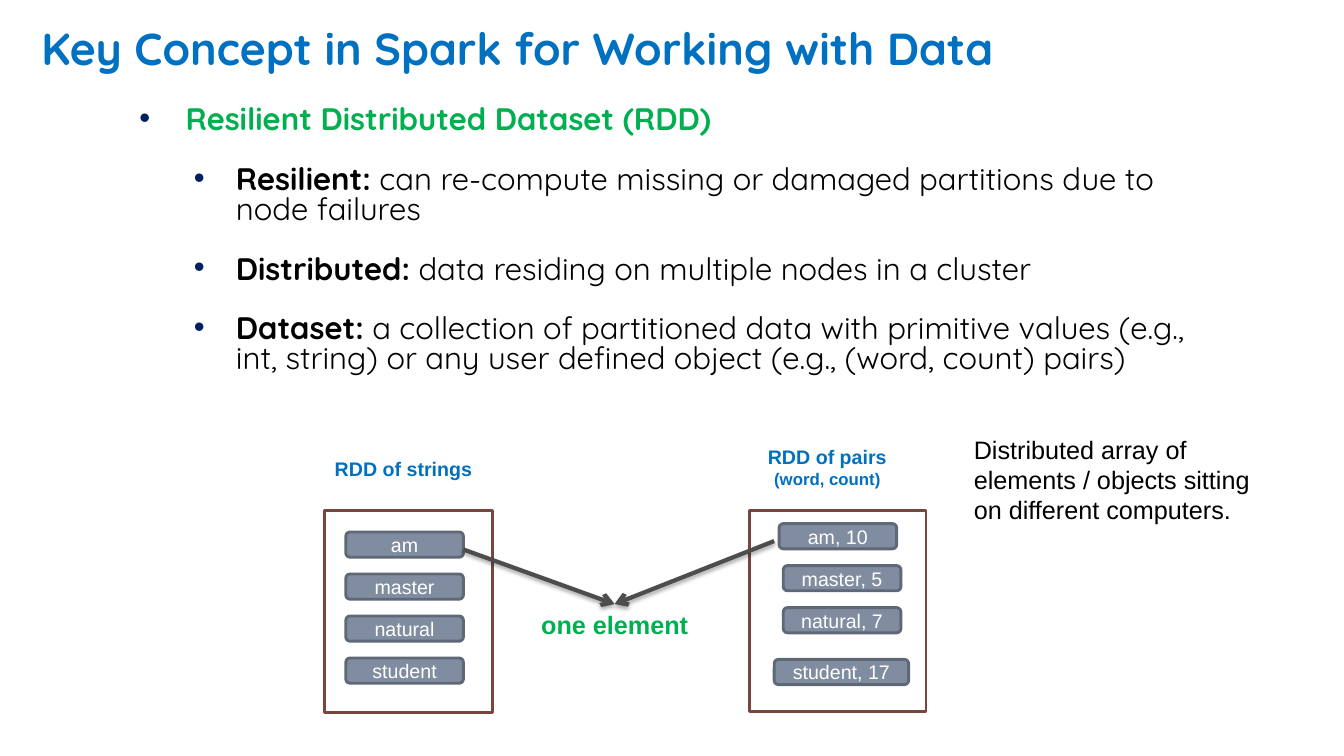
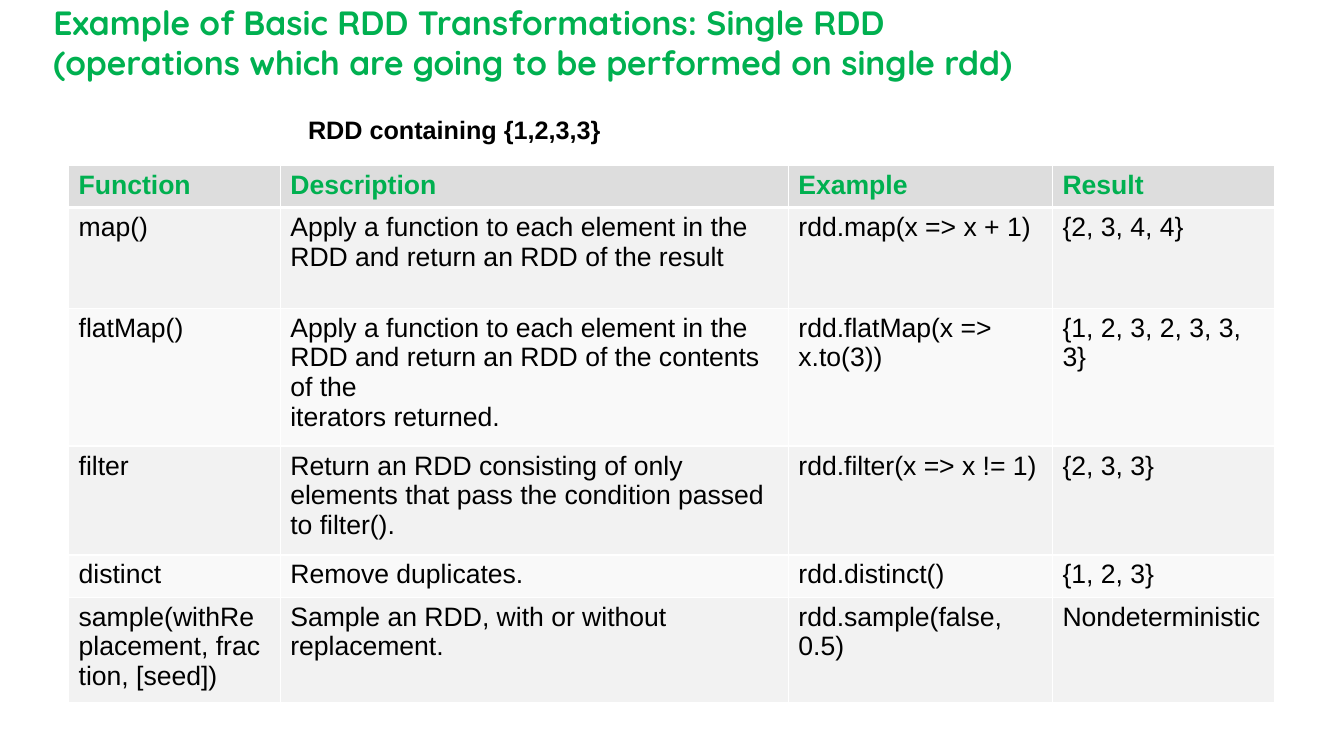
import lxml.etree
import pptx
import pptx.dml.color
import pptx.enum.shapes
import pptx.enum.text
import pptx.oxml.ns
import pptx.util

Pt = pptx.util.Pt
ALIGN = pptx.enum.text.PP_ALIGN
ANCHOR = pptx.enum.text.MSO_ANCHOR
SHAPE = pptx.enum.shapes.MSO_SHAPE
BLUE, GREEN, BLACK, WHITE = "0070C0", "00B050", "000000", "FFFFFF"
NAVY, BROWN, GRAY = "002060", "79463D", "4D4D4D"
CHIP_FILL, CHIP_LINE = "808DA0", "5F6876"
HEADER_FILL, ROW_FILLS = "DDDDDD", ("F2F2F2", "F9F9F9")
HEADING_FONT, TEXT_FONT = "Quicksand", "Arial"

TERMS = [
    ("Resilient:", "can re-compute missing or damaged partitions due to node failures"),
    ("Distributed:", "data residing on multiple nodes in a cluster"),
    ("Dataset:", "a collection of partitioned data with primitive values (e.g., int, string) "
                 "or any user defined object (e.g., (word, count) pairs)"),
]
STRINGS = ["am", "master", "natural", "student"]
PAIRS = [
    ("am, 10", 556.5, 374, 84),
    ("master, 5", 559.5, 404, 84),
    ("natural, 7", 559.5, 434, 84),
    ("student, 17", 553, 471, 96),
]
COLUMN_WIDTHS = [151.2, 363, 188.6, 158.6]
ROW_HEIGHTS = [30.2, 72, 96.5, 77.8, 30.2, 74.2]
TRANSFORMATIONS = [
    ("Function", "Description", "Example", "Result"),
    ("map()", "Apply a function to each element in the RDD and return an RDD of the result",
     "rdd.map(x => x + 1)", "{2, 3, 4, 4}"),
    ("flatMap()", "Apply a function to each element in the RDD and return an RDD of the contents "
     "of the\niterators returned.", "rdd.flatMap(x => x.to(3))", "{1, 2, 3, 2, 3, 3, 3}"),
    ("filter", "Return an RDD consisting of only elements that pass the condition passed to filter().",
     "rdd.filter(x => x != 1)", "{2, 3, 3}"),
    ("distinct", "Remove duplicates.", "rdd.distinct()", "{1, 2, 3}"),
    ("sample(withRe\nplacement, frac\ntion, [seed])", "Sample an RDD, with or without replacement.",
     "rdd.sample(false, 0.5)", "Nondeterministic"),
]


def rgb(color):
    return pptx.dml.color.RGBColor.from_string(color)


def points(*lengths):
    return [Pt(length) for length in lengths]


def add_xml(parent, tag, **values):
    element = lxml.etree.SubElement(parent, pptx.oxml.ns.qn("a:" + tag))
    for name, value in values.items():
        element.set(name, str(value))
    return element


def set_values(target, values):
    for name, value in values.items():
        setattr(target, name, value)


class SlideStyle:
    def __init__(self):
        self.deck = pptx.Presentation()
        set_values(self.deck, {"slide_width": Pt(960), "slide_height": Pt(540)})
        self.page = None

    def new_page(self):
        self.page = self.deck.slides.add_slide(self.deck.slide_layouts[6])

    def add_span(self, para, text, size, color=BLACK, bold=False, font=TEXT_FONT):
        span = para.add_run()
        span.text = text
        set_values(span.font, {"name": font, "size": Pt(size), "bold": bold})
        span.font.color.rgb = rgb(color)

    def fill_lines(self, frame, text, size, align=ALIGN.LEFT, **style):
        for number, line in enumerate(text.split("\n")):
            para = frame.add_paragraph() if number else frame.paragraphs[0]
            para.alignment = align
            self.add_span(para, line, size, **style)

    def frame(self, left, top, width, height, wrap=True, anchor=ANCHOR.TOP, inset=3.6):
        frame = self.page.shapes.add_textbox(*points(left, top, width, height)).text_frame
        set_values(frame, {"word_wrap": wrap, "vertical_anchor": anchor,
                           "margin_top": Pt(inset), "margin_bottom": Pt(inset)})
        return frame

    def title(self, text, left, top, width, height, size, color):
        frame = self.frame(left, top, width, height, anchor=ANCHOR.BOTTOM, inset=7.2)
        self.fill_lines(frame, text, size, color=color, bold=True, font=HEADING_FONT)

    def label(self, text, left, top, width, height, size, wrap=False, **style):
        self.fill_lines(self.frame(left, top, width, height, wrap), text, size, **style)

    def bullet(self, para, margin, hanging, space_before):
        properties = para._p.get_or_add_pPr()
        properties.set("marL", str(Pt(margin)))
        properties.set("indent", str(-Pt(hanging)))
        add_xml(add_xml(properties, "buClr"), "srgbClr", val=NAVY)
        add_xml(properties, "buFont", typeface=TEXT_FONT)
        add_xml(properties, "buChar", char="•")
        set_values(para, {"line_spacing": 0.8, "space_before": Pt(space_before)})

    def definitions(self, heading, terms, left, top, width, height, size=22.2):
        frame = self.frame(left, top, width, height, inset=7.2)
        para = frame.paragraphs[0]
        self.bullet(para, 36, 33, 0)
        self.add_span(para, heading, size, GREEN, True, HEADING_FONT)
        for term, meaning in terms:
            para = frame.add_paragraph()
            para.level = 1
            self.bullet(para, 72, 30, 21.4)
            self.add_span(para, term, size, bold=True, font=HEADING_FONT)
            self.add_span(para, " " + meaning, size, font=HEADING_FONT)

    def block(self, kind, left, top, width, height, fill, line):
        shape = self.page.shapes.add_shape(kind, *points(left, top, width, height))
        shape.shadow.inherit = False
        shape.fill.solid()
        shape.fill.fore_color.rgb = rgb(fill)
        shape.line.color.rgb = rgb(line)
        shape.line.width = Pt(2.08)
        return shape

    def panel(self, left, top, width, height):
        self.block(SHAPE.RECTANGLE, left, top, width, height, WHITE, BROWN)

    def chip(self, text, left, top, width):
        shape = self.block(SHAPE.ROUNDED_RECTANGLE, left, top, width, 18, CHIP_FILL, CHIP_LINE)
        shape.text_frame.vertical_anchor = ANCHOR.MIDDLE
        self.fill_lines(shape.text_frame, text, 14, ALIGN.CENTER, color=WHITE)

    def arrow(self, start, end):
        kind = pptx.enum.shapes.MSO_CONNECTOR.STRAIGHT
        arrow = self.page.shapes.add_connector(kind, *points(*start, *end))
        arrow.line.color.rgb = rgb(GRAY)
        arrow.line.width = Pt(3)
        properties = arrow._element.spPr
        add_xml(properties.find(pptx.oxml.ns.qn("a:ln")), "tailEnd", type="arrow")
        effects = add_xml(properties, "effectLst")
        shadow = add_xml(effects, "outerShdw", blurRad=Pt(3.1), dist=Pt(1.8), dir=5400000, rotWithShape=0)
        add_xml(add_xml(shadow, "srgbClr", val=BLACK), "alpha", val=35000)

    def cell(self, cell, text, fill, bottom, **style):
        properties = cell._tc.get_or_add_tcPr()
        for side, width in {"lnL": 1, "lnR": 1, "lnT": 1, "lnB": bottom}.items():
            border = add_xml(properties, side, w=Pt(width))
            add_xml(add_xml(border, "solidFill"), "srgbClr", val=WHITE)
        cell.fill.solid()
        cell.fill.fore_color.rgb = rgb(fill)
        self.fill_lines(cell.text_frame, text, 19, **style)

    def table(self, rows, left, top, widths, heights):
        size = points(left, top, sum(widths), sum(heights))
        table = self.page.shapes.add_table(len(rows), len(widths), *size).table
        for column, width in zip(table.columns, widths):
            column.width = Pt(width)
        for number, (row, height, texts) in enumerate(zip(table.rows, heights, rows)):
            row.height = Pt(height)
            for cell, text in zip(row.cells, texts):
                if number == 0:
                    self.cell(cell, text, HEADER_FILL, 3, color=GREEN, bold=True)
                else:
                    self.cell(cell, text, ROW_FILLS[(number - 1) % 2], 1)


def concept_page(style):
    style.new_page()
    style.title("Key Concept in Spark for Working with Data", 22.5, 11.5, 778, 49, 32, BLUE)
    style.definitions("Resilient Distributed Dataset (RDD)", TERMS, 89.5, 69, 778, 217)
    style.panel(232, 365, 120, 144)
    style.panel(535.5, 364.5, 126, 144)
    for number, text in enumerate(STRINGS):
        style.chip(text, 247, 380 + 30 * number, 84)
    for pair in PAIRS:
        style.chip(*pair)
    style.label("RDD of strings", 232, 322.5, 113, 24, 14, color=BLUE, bold=True)
    pairs_frame = style.frame(541, 314.5, 100, 39, wrap=False)
    for size, text in ((14, "RDD of pairs"), (12, "(word, count)")):
        para = pairs_frame.paragraphs[0] if size == 14 else pairs_frame.add_paragraph()
        para.alignment = ALIGN.CENTER
        style.add_span(para, text, size, BLUE, True)
    meeting_point = (439, 431.5)
    for start in ((331, 392.5), (553, 386.5)):
        style.arrow(start, meeting_point)
    style.label("one element", 379.5, 431.5, 120, 29, 18, color=GREEN, bold=True)
    style.label("Distributed array of elements / objects sitting on different computers.",
                688.5, 306.5, 229, 73, 18, wrap=True)


def transformations_page(style):
    style.new_page()
    style.title("Example of Basic RDD Transformations: Single RDD\n"
                "(operations which are going to be performed on single rdd)",
                31, 23, 929, 43, 24, GREEN)
    style.table(TRANSFORMATIONS, 49, 118, COLUMN_WIDTHS, ROW_HEIGHTS)
    style.label("RDD containing {1,2,3,3}", 213, 78, 225, 29, 18, bold=True)


def main():
    style = SlideStyle()
    concept_page(style)
    transformations_page(style)
    style.deck.save("out.pptx")


if __name__ == "__main__":
    main()
